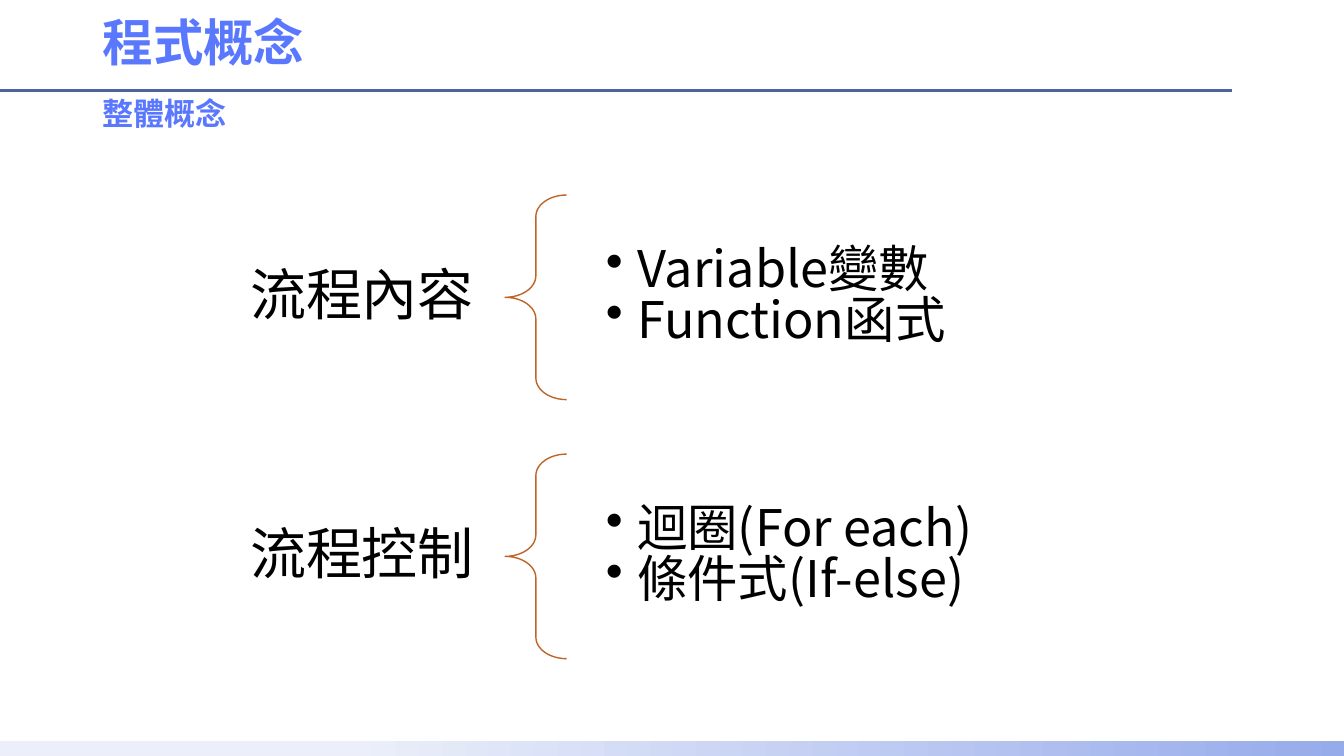
from lxml import etree
from pptx import Presentation, util as u
from pptx.dml.color import RGBColor
from pptx.enum import shapes, text
from pptx.oxml.ns import qn

FONT = "Noto Sans CJK SC"
BLUE = RGBColor(0x5A, 0x78, 0xFE)
RULE = RGBColor(0x4B, 0x64, 0x9F)
ORANGE = RGBColor(0xBE, 0x64, 0x27)
BLACK = RGBColor(0, 0, 0)
WHITE = RGBColor(255, 255, 255)
FOOTER_STOPS = [(0, RGBColor(0x96, 0xAB, 0xEA)), (0.74, RGBColor(0xEC, 0xEF, 0xFA))]

TITLE, SUBTITLE = "程式概念", "整體概念"
# label, label height, items, height of the item box
ROWS = [
    ("流程內容", 1.38, ["Variable變數", "Function函式"], 2.59),
    ("流程控制", 0.83, ["迴圈(For each)", "條件式(If-else)"], 1.86),
]
W, H = 13.33, 7.5
FIRST_ROW, ROW_PITCH = 2.95, 2.57
LABEL_X, LABEL_W = 1.96, 3.05
BRACE_X, BRACE_W, BRACE_H = LABEL_X + LABEL_W, 0.61, 2.03
ITEMS_X, ITEMS_W = 5.86, 4.54
INDENT = u.Inches(0.31)
MIDDLE = text.MSO_ANCHOR.MIDDLE


def inches(*lengths):
    return [u.Inches(v) for v in lengths]


def add_text(s, box, lines, size, color, bold=False, anchor=MIDDLE,
             margins=(0.1, 0.05), spacing=0.9, align=None, bullet=False):
    sp = s.shapes.add_textbox(*inches(*box))
    tf = sp.text_frame
    tf.word_wrap, tf.vertical_anchor = True, anchor
    tf.margin_left = tf.margin_right = u.Inches(margins[0])
    tf.margin_top = tf.margin_bottom = u.Inches(margins[1])
    tf.text = "\n".join(lines)
    for p in tf.paragraphs:
        p.line_spacing, p.alignment = spacing, align
        p.font.size, p.font.bold, p.font.name = u.Pt(size), bold, FONT
        p.font.color.rgb = color
        # East Asian glyphs take their typeface from a:ea
        etree.SubElement(p.font._element, qn("a:ea"), typeface=FONT)
        if bullet:
            pPr = p._p.get_or_add_pPr()
            pPr.set("marL", str(INDENT))
            pPr.set("indent", str(-INDENT))
            bu = etree.Element(qn("a:buChar"), char="•")
            pPr.find(qn("a:defRPr")).addprevious(bu)
    return sp


def add_frame(s):
    rule = s.shapes.add_connector(shapes.MSO_CONNECTOR.STRAIGHT,
                                  *inches(0, 0.9, 12.22, 0.9))
    rule.line.color.rgb, rule.line.width = RULE, u.Pt(2)
    etree.SubElement(rule._element.spPr, qn("a:effectLst"))

    footer = s.shapes.add_shape(shapes.MSO_SHAPE.RECTANGLE,
                                *inches(0, H * 0.98, W, H * 0.02))
    footer.shadow.inherit = False
    footer.line.fill.background()
    footer.fill.gradient()
    footer.fill.gradient_angle = 180
    for stop, (position, color) in zip(footer.fill.gradient_stops, FOOTER_STOPS):
        stop.position, stop.color.rgb = position, color


def add_brace(s, middle):
    sp = s.shapes.add_shape(shapes.MSO_SHAPE.LEFT_BRACE,
                            *inches(BRACE_X, middle - BRACE_H / 2, BRACE_W, BRACE_H))
    sp.adjustments[0], sp.adjustments[1] = 0.35, 0.5
    sp.shadow.inherit = False
    sp.fill.background()
    sp.line.color.rgb, sp.line.width = ORANGE, u.Pt(1)


def main():
    prs = Presentation()
    prs.slide_width, prs.slide_height = inches(W, H)
    s = prs.slides.add_slide(prs.slide_layouts[6])
    add_frame(s)
    add_text(s, (0.92, 0.15, 8.5, 0.59), [TITLE], 36, BLUE, bold=True)
    add_text(s, (0.92, 0.93, 4.31, 0.45), [SUBTITLE], 22.2, BLUE, bold=True,
             anchor=text.MSO_ANCHOR.TOP)
    for i, (label, label_h, items, items_h) in enumerate(ROWS):
        middle = FIRST_ROW + i * ROW_PITCH
        add_text(s, (LABEL_X, middle - label_h / 2, LABEL_W, label_h), [label],
                 40, BLACK, margins=(0.31, 0.11), align=text.PP_ALIGN.RIGHT)
        add_brace(s, middle)
        sp = add_text(s, (ITEMS_X, middle - items_h / 2, ITEMS_W, items_h), items,
                      36, BLACK, margins=(0.15, 0.15), spacing=0.85, bullet=True)
        sp.fill.solid()
        sp.fill.fore_color.rgb = WHITE
    prs.save("out.pptx")


if __name__ == "__main__":
    main()
